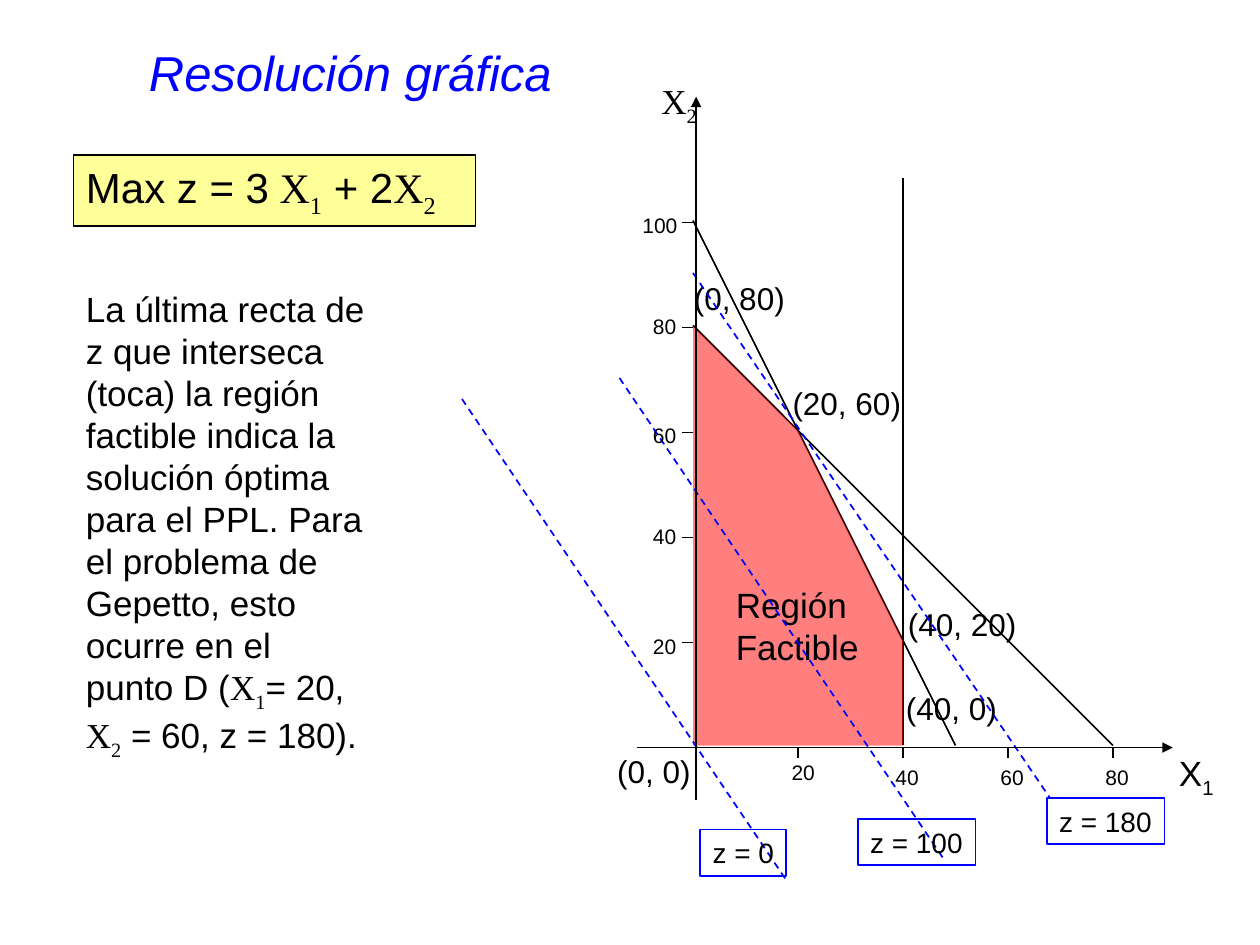
from lxml import etree
from pptx import Presentation
from pptx import util as u
from pptx.dml.color import RGBColor
from pptx.enum import dml, shapes, text
from pptx.oxml import ns

PX = 7620  # 120 px to the inch
COLORS = {"ink": "000000", "blue": "0000FF", "region": "FF0000", "yellow": "FFFF99"}
SANS, SERIF = "Arial", "Times New Roman"

prs = Presentation()
prs.slide_width, prs.slide_height = 1200 * PX, 900 * PX
slide = prs.slides.add_slide(prs.slide_layouts[6])
rgb = {name: RGBColor.from_string(value) for name, value in COLORS.items()}


def add_line(start, end, color="ink", dashed=False, arrow=False):
    line = slide.shapes.add_connector(
        shapes.MSO_CONNECTOR.STRAIGHT, *(v * PX for v in (*start, *end)))
    line.line.color.rgb = rgb[color]
    line.line.width = u.Pt(1)
    if dashed:
        line.line.dash_style = dml.MSO_LINE.DASH
    if arrow:
        etree.SubElement(line.line._get_or_add_ln(), ns.qn("a:tailEnd"), type="triangle")
    etree.SubElement(line._element.spPr, ns.qn("a:effectLst"))


def add_text(box, lines, size, wrap=False, border=None, fill=None):
    """Each line is a string or a list of (text, font, is_subscript) runs."""
    area = [v * PX for v in box]
    if border:
        holder = slide.shapes.add_shape(shapes.MSO_SHAPE.RECTANGLE, *area)
        holder.shadow.inherit = False
        holder.line.color.rgb = rgb[border]
        holder.line.width = u.Pt(1)
        holder.fill.background()
        if fill:
            holder.fill.solid()
            holder.fill.fore_color.rgb = rgb[fill]
    else:
        holder = slide.shapes.add_textbox(*area)
    frame = holder.text_frame
    frame.word_wrap = wrap
    frame.auto_size = text.MSO_AUTO_SIZE.SHAPE_TO_FIT_TEXT
    frame.vertical_anchor = text.MSO_ANCHOR.TOP
    for i, content in enumerate(lines):
        paragraph = frame.add_paragraph() if i else frame.paragraphs[0]
        paragraph.alignment = text.PP_ALIGN.LEFT
        paragraph.font.size = u.Pt(size)
        paragraph.font.color.rgb = rgb["ink"]
        if isinstance(content, str):
            paragraph.font.name = SANS
            paragraph.add_run().text = content
            continue
        for words, font, subscript in content:
            run = paragraph.add_run()
            run.text = words
            run.font.name = font
            if subscript:
                run.font._element.set("baseline", "-25000")
    return frame


# Chart scale: 5 px per unit from the origin
ORIGIN_X, ORIGIN_Y, UNIT = 660, 710, 5

# Constraints
for start, end in [((50, 0), (0, 100)), ((80, 0), (0, 80)), ((40, 0), (40, 108))]:
    add_line(*((ORIGIN_X + UNIT * x1, ORIGIN_Y - UNIT * x2) for x1, x2 in (start, end)))

# Feasible region
corners = [(ORIGIN_X + UNIT * x1, ORIGIN_Y - UNIT * x2)
           for x1, x2 in [(0, 0), (0, 80), (20, 60), (40, 20), (40, 0)]]
outline = slide.shapes.build_freeform(*corners[0], scale=PX)
outline.add_line_segments(corners[1:], close=True)
region = outline.convert_to_shape()
region.shadow.inherit = False
region.line.fill.background()
region.fill.solid()
region.fill.fore_color.rgb = rgb["region"]
region_color = region._element.spPr.find(ns.qn("a:solidFill"))[0]
etree.SubElement(region_color, ns.qn("a:alpha"), val="50000")
add_text((689, 550, 150, 92), ["Región", "Factible"], 20)

# Corner labels
for label, x, y, width in [("(0, 80)", 649, 260, 118), ("(20, 60)", 743, 360, 134),
                           ("(40, 20)", 853, 570, 134), ("(40, 0)", 851, 650, 118),
                           ("(0, 0)", 576, 710, 100)]:
    add_text((x, y, width, 48), [label], 18)

# Objective function
add_text((70, 148, 383, 67),
         [[("Max z = 3", SANS, False), (" X", SERIF, False), ("1", SERIF, True),
           (" + 2", SANS, False), ("X", SERIF, False), ("2", SERIF, True)]],
         24, wrap=True, border="ink", fill="yellow")

# Level lines of z, then their tags
for start, end in [((660, 260), (1000, 760)), ((440, 380), (750, 840)),
                   ((590, 360), (900, 820))]:
    add_line(start, end, "blue", dashed=True)
for label, x, y, width in [("z = 0", 667, 790, 82), ("z = 100", 817, 780, 112),
                           ("z = 180", 997, 760, 112)]:
    add_text((x, y, width, 44), [label], 16, border="blue")

# Explanation
add_text((70, 268, 290, 463),
         [[("La última recta de z que interseca (toca) la región factible indica "
            "la solución óptima para el PPL. Para el problema de Gepetto, esto "
            "ocurre en el punto D (", SANS, False),
           ("X", SERIF, False), ("1", SERIF, True), ("= 20, ", SANS, False),
           ("X", SERIF, False), ("2", SERIF, True), (" = 60, z = 180).", SANS, False)]],
         20, wrap=True)

# Axes with ticks
AXIS_X, AXIS_Y = 663, 712
add_line((AXIS_X, 762), (AXIS_X, 92), arrow=True)
add_line((607, AXIS_Y), (1117, AXIS_Y), arrow=True)
for value in range(20, 101, 20):
    tick_y = AXIS_Y - UNIT * value
    add_line((ORIGIN_X, tick_y), (650, tick_y))
for value in range(20, 81, 20):
    tick_x = ORIGIN_X + UNIT * value
    add_line((tick_x, AXIS_Y), (tick_x, 722))

# Tick labels and axis names
for value, x, y in [(20, 610, 597), (40, 610, 493), (60, 610, 397), (80, 610, 293),
                    (100, 600, 197),
                    (20, 742, 717), (40, 841, 722), (60, 941, 722), (80, 1041, 722)]:
    add_text((x, y, 64 if value == 100 else 52, 36), [str(value)], 12)
for letter_font, x, y, index in [(SERIF, 618, 70, "2"), (SANS, 1111, 710, "1")]:
    add_text((x, y, 66, 58), [[("X", letter_font, False), (index, letter_font, True)]], 20)

# Title
title = add_text((130, 32, 450, 74), ["Resolución gráfica"], 28)
title.auto_size = text.MSO_AUTO_SIZE.NONE
title.word_wrap = True
title.vertical_anchor = text.MSO_ANCHOR.MIDDLE
title.paragraphs[0].font.italic = True
title.paragraphs[0].font.color.rgb = rgb["blue"]

prs.save("out.pptx")
